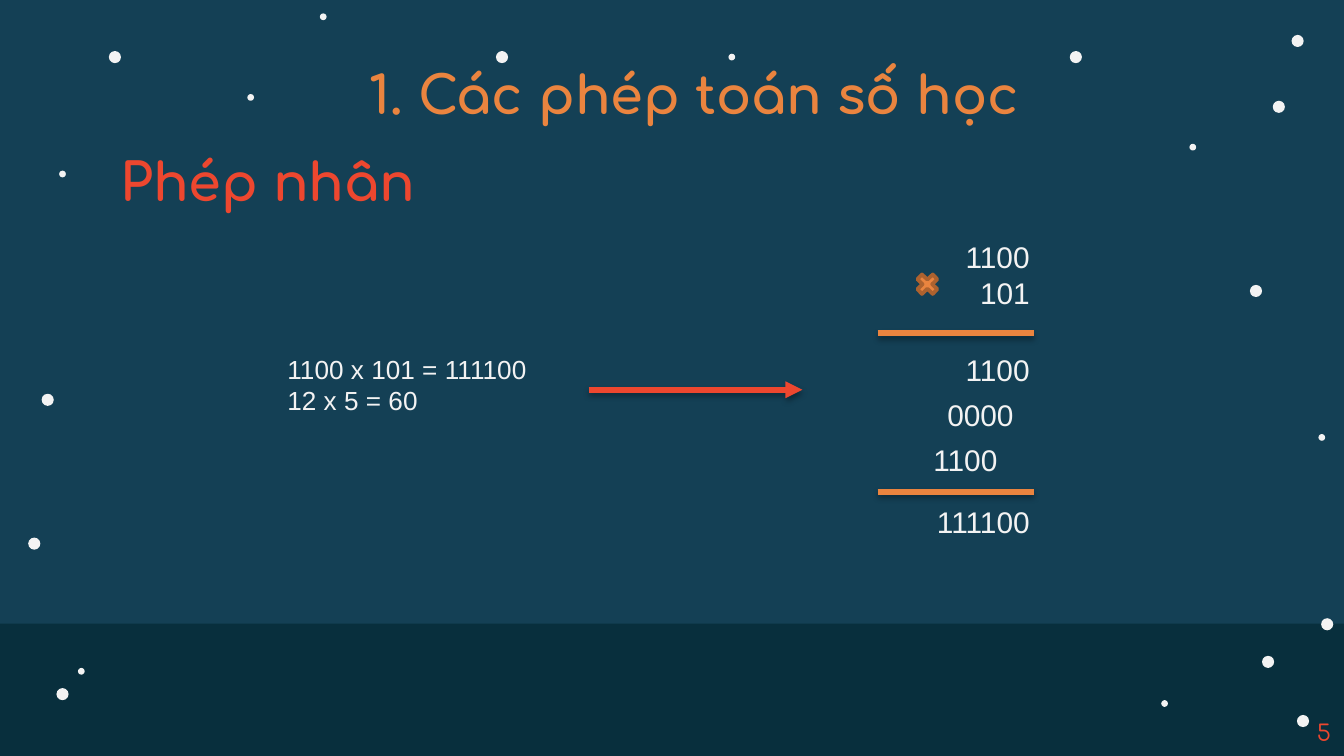
from lxml import etree
from pptx import Presentation
from pptx.dml.color import RGBColor
from pptx.enum.shapes import MSO_CONNECTOR, MSO_SHAPE
from pptx.enum.text import MSO_ANCHOR, MSO_AUTO_SIZE, PP_ALIGN
from pptx.oxml import parse_xml
from pptx.oxml.ns import nsdecls, qn
from pptx.util import Inches, Pt

LEFT, CENTER, RIGHT = PP_ALIGN.LEFT, PP_ALIGN.CENTER, PP_ALIGN.RIGHT
TOP, MIDDLE = MSO_ANCHOR.TOP, MSO_ANCHOR.MIDDLE
OVAL, RECT, TIMES = MSO_SHAPE.OVAL, MSO_SHAPE.RECTANGLE, MSO_SHAPE.MATH_MULTIPLY
STRAIGHT, NO_AUTOFIT = MSO_CONNECTOR.STRAIGHT, MSO_AUTO_SIZE.NONE

NIGHT = RGBColor(0x14, 0x40, 0x55)
GROUND = RGBColor(0x08, 0x2F, 0x3D)
SNOW = RGBColor(0xF3, 0xF3, 0xF3)
ORANGE = RGBColor(0xEA, 0x84, 0x3F)
BROWN = RGBColor(0xAD, 0x62, 0x2F)
RED = RGBColor(0xED, 0x47, 0x2F)
BODY_FONT, HEAD_FONT = "Arial", "Comfortaa"

# Content
TITLE = "1. Các phép toán số học"
SUBTITLE = "Phép nhân"
EXAMPLE = ["1100 x 101 = 111100", "12 x 5 = 60"]
FACTORS = ["1100", "101"]
PARTIALS = ["1100", "0000", "1100"]
PRODUCT = "111100"
PAGE = "5"

# Snowflakes: diameter -> top left corners
FLAKES = {
    0.09: [(0.81, 0.38), (9.3, 2.12), (7.96, 0.38), (9.61, 0.26), (3.69, 0.38),
           (9.65, 5.32), (0.31, 2.93), (9.47, 0.75), (9.39, 4.88), (9.83, 4.6),
           (0.21, 4), (0.42, 5.12)],
    0.05: [(0.44, 1.27), (8.85, 1.07), (8.64, 5.21), (0.58, 4.97), (5.42, 0.4),
           (2.38, 0.1), (1.84, 0.7), (9.81, 3.23)],
}

# A 16:9 slide and the grid of the written multiplication
WIDTH = 10
HEIGHT = WIDTH * 9 / 16
GROUND_TOP = 4.64
SUM_RIGHT = 7.76
RULE_LEFT, RULE_RIGHT = 6.53, 7.69
PARTIAL_TOP, PARTIAL_STEP, DIGIT_SHIFT = 2.57, 0.67 / 2, 0.12
NUMBER_WIDTH, NUMBER_HEIGHT = 1.44, 0.37

prs = Presentation()
prs.slide_width, prs.slide_height = Inches(WIDTH), Inches(HEIGHT)
slide = prs.slides.add_slide(prs.slide_layouts[5])
slide.background.fill.solid()
slide.background.fill.fore_color.rgb = NIGHT


def add_solid(preset, left, top, width, height, color):
    solid = slide.shapes.add_shape(
        preset, Inches(left), Inches(top), Inches(width), Inches(height))
    solid.shadow.inherit = False
    solid.fill.solid()
    solid.fill.fore_color.rgb = color
    solid.line.fill.background()
    return solid


def write(box, lines, size, color, font=BODY_FONT, bold=False, align=LEFT,
          anchor=TOP):
    frame = box.text_frame
    frame.text = "\n".join(lines)
    frame.word_wrap = True
    frame.auto_size = NO_AUTOFIT
    frame.vertical_anchor = anchor
    for paragraph in frame.paragraphs:
        paragraph.alignment = align
        for run in paragraph.runs:
            run.font.size, run.font.bold, run.font.name = Pt(size), bold, font
            run.font.color.rgb = color


def add_text(lines, left, top, width, height, *args, **style):
    box = slide.shapes.add_textbox(
        Inches(left), Inches(top), Inches(width), Inches(height))
    write(box, lines, *args, **style)


def add_number(digits, right, top):
    add_text([digits], right - NUMBER_WIDTH, top, NUMBER_WIDTH, NUMBER_HEIGHT,
             16, SNOW, align=RIGHT)


def add_line(left, right, y, color, arrow=False):
    line = slide.shapes.add_connector(
        STRAIGHT, Inches(left), Inches(y), Inches(right), Inches(y))
    line.line.color.rgb = color
    line.line.width = Pt(3)
    properties = line._element.spPr
    if arrow:
        etree.SubElement(properties.find(qn("a:ln")), qn("a:tailEnd"), type="triangle")
    properties.append(parse_xml(
        f'<a:effectLst {nsdecls("a")}><a:outerShdw blurRad="{Pt(3.1)}" '
        f'dist="{Pt(1.8)}" dir="5400000" rotWithShape="0"><a:srgbClr val="000000">'
        '<a:alpha val="35000"/></a:srgbClr></a:outerShdw></a:effectLst>'))


# Ground and snow
add_solid(RECT, 0, GROUND_TOP, WIDTH, HEIGHT - GROUND_TOP, GROUND)
for diameter, corners in FLAKES.items():
    for left, top in corners:
        add_solid(OVAL, left, top, diameter, diameter, SNOW)

# Headings
title = slide.shapes.title
title.left, title.top = Inches(0.95), Inches(0.38)
title.width, title.height = Inches(8.43), Inches(0.63)
write(title, [TITLE], 28, ORANGE, HEAD_FONT, True, CENTER, MIDDLE)
add_text([SUBTITLE], 0.8, 1.06, 3.7, 0.57, 28, RED, HEAD_FONT, True)

# Written multiplication
add_text(FACTORS, 6.18, 1.73, SUM_RIGHT - 6.18, 0.64, 16, SNOW, align=RIGHT)
times_sign = add_solid(TIMES, 6.79, 2.01, 0.22, 0.21, ORANGE)
times_sign.line.color.rgb = BROWN
times_sign.line.width = Pt(2)
for y in (2.48, 3.66):
    add_line(RULE_LEFT, RULE_RIGHT, y, ORANGE)
for row, partial in enumerate(PARTIALS):
    add_number(partial, SUM_RIGHT - row * DIGIT_SHIFT, PARTIAL_TOP + row * PARTIAL_STEP)
add_number(PRODUCT, SUM_RIGHT, 3.7)

# Arrow and example
add_line(4.38, 5.97, 2.9, RED, arrow=True)
add_text(EXAMPLE, 2.04, 2.58, 2.03, 0.57, 14, SNOW)

# Page number
add_text([PAGE], 7.75, 5.3, 2.25, 0.3, 12, RED, HEAD_FONT, align=RIGHT, anchor=MIDDLE)

prs.save("out.pptx")
